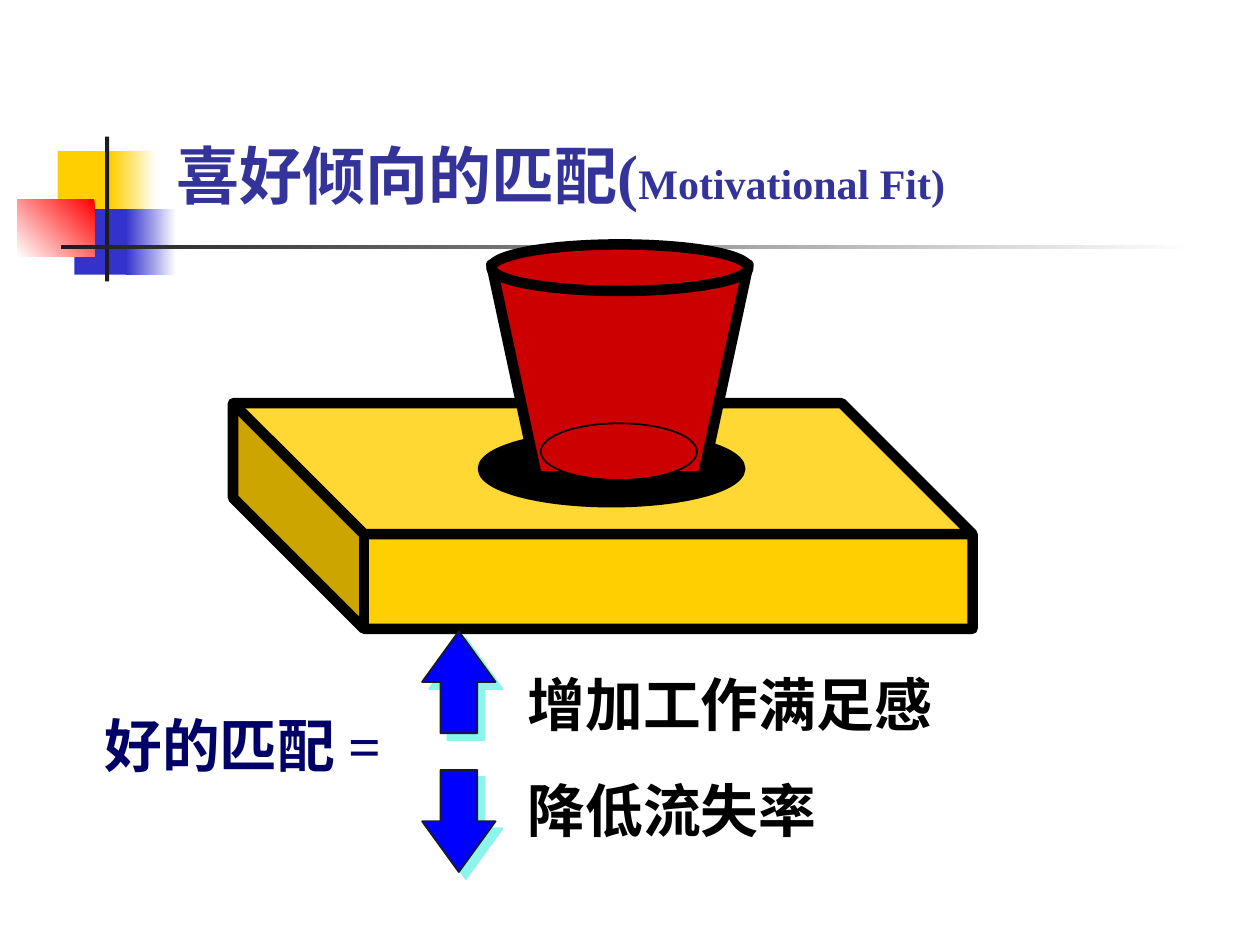
from lxml import etree
from pptx import Presentation
from pptx import util as u
from pptx.dml.color import RGBColor
from pptx.enum import shapes, text
from pptx.oxml.ns import qn

Pt = u.Pt
SHAPE = shapes.MSO_SHAPE

WHITE = RGBColor(0xFF, 0xFF, 0xFF)
BLACK = RGBColor(0x00, 0x00, 0x00)
INK = RGBColor(0x1C, 0x1C, 0x1C)
YELLOW = RGBColor(0xFF, 0xCF, 0x01)
INDIGO = RGBColor(0x33, 0x33, 0xCC)
RED = RGBColor(0xFF, 0x00, 0x00)
CUP_RED = RGBColor(0xCC, 0x00, 0x00)
BLUE = RGBColor(0x00, 0x00, 0xFF)
AQUA = RGBColor(0x8C, 0xF4, 0xEA)
TITLE_BLUE = RGBColor(0x33, 0x33, 0x99)
NAVY = RGBColor(0x00, 0x00, 0x66)


def add_run(p, content, *, size, color, font, bold=True):
    r = p.add_run()
    r.text = content
    r.font.size = Pt(size)
    r.font.name = font
    r.font.bold = bold
    r.font.color.rgb = color
    return r


class SlideBuilder:
    """Holds the style and the current slide; all lengths are in points."""

    font = "Times New Roman"
    body_size = 33
    heavy = 6

    def __init__(self, slide):
        self.slide = slide

    def paint(self, sp, fill, line=None, width=1):
        sp.shadow.inherit = False
        sp.fill.solid()
        sp.fill.fore_color.rgb = fill
        if line is None:
            sp.line.fill.background()
        else:
            sp.line.color.rgb = line
            sp.line.width = Pt(width)

    def shape(self, kind, box, fill, line=None, width=1, adj=()):
        sp = self.slide.shapes.add_shape(kind, *map(Pt, box))
        self.paint(sp, fill, line, width)
        for i, value in enumerate(adj):
            sp.adjustments[i] = value
        return sp

    def gradient(self, box, start, end, angle=180):
        """Add a rectangle shaded from start to end, angle counter-clockwise."""
        sp = self.shape(SHAPE.RECTANGLE, box, start)
        sp.fill.gradient()
        sp.fill.gradient_angle = angle
        for stop, color, position in zip(sp.fill.gradient_stops, (start, end), (0, 1)):
            stop.color.rgb = color
            stop.position = position
        return sp

    def polygon(self, points, fill, line, width):
        pts = [(Pt(x), Pt(y)) for x, y in points]
        fb = self.slide.shapes.build_freeform(*pts[0], scale=1.0)
        fb.add_line_segments(pts[1:], close=True)
        sp = fb.convert_to_shape()
        self.paint(sp, fill, line, width)
        return sp

    def arrow(self, kind, box):
        """Add a block arrow with a hard offset shadow."""
        sp = self.shape(kind, box, BLUE, INK, 1, adj=(0.5, 0.69))
        effects = sp._element.spPr.find(qn("a:effectLst"))
        shadow = etree.SubElement(effects, qn("a:outerShdw"), blurRad="0",
                                  dist=str(Pt(5.7)), dir=str(45 * 60000),
                                  algn="ctr", rotWithShape="0")
        etree.SubElement(shadow, qn("a:srgbClr"), val=str(AQUA))
        return sp

    def title(self, box, parts, color):
        sp = self.slide.shapes.title
        sp.left, sp.top, sp.width, sp.height = map(Pt, box)
        tf = sp.text_frame
        tf.vertical_anchor = text.MSO_ANCHOR.MIDDLE
        p = tf.paragraphs[0]
        p.alignment = text.PP_ALIGN.LEFT
        for content, size in parts:
            add_run(p, content, size=size, color=color, font=self.font)

    def textbox(self, box, lines, color, gap=0):
        tf = self.slide.shapes.add_textbox(*map(Pt, box)).text_frame
        tf.word_wrap = True
        for i, line in enumerate(lines):
            p = tf.add_paragraph() if i else tf.paragraphs[0]
            if i:
                p.space_before = Pt(gap)
            add_run(p, line, size=self.body_size, color=color, font=self.font)


def add_decoration(b):
    b.shape(SHAPE.RECTANGLE, (33, 86.4, 34.6, 37.4), YELLOW)
    b.gradient((63.4, 86.4, 26, 37.4), WHITE, YELLOW)
    b.shape(SHAPE.RECTANGLE, (42.5, 119.5, 33, 37.4), INDIGO)
    b.gradient((72, 119.5, 28.8, 37.4), WHITE, INDIGO)
    b.gradient((10, 113.8, 44, 33), RED, WHITE, angle=225)
    b.shape(SHAPE.RECTANGLE, (60, 78, 2.4, 82.8), INK)
    b.gradient((34.8, 140, 648, 2.5), WHITE, INK)


def add_cup_in_block(b):
    block = b.shape(SHAPE.CUBE, (133.2, 230.4, 422.6, 128.9), YELLOW,
                    BLACK, b.heavy, adj=(0.58,))
    block._element.spPr.find(qn("a:xfrm")).set("flipH", "1")
    b.shape(SHAPE.OVAL, (275, 247.7, 149, 40.3), BLACK, BLACK, 4)

    left, right, top, bottom, taper = 280.8, 427.7, 151.2, 272.2, 26
    b.polygon([(left, top), (right, top), (right - taper, bottom),
               (left + taper, bottom)], CUP_RED, BLACK, b.heavy)
    b.shape(SHAPE.OVAL, (left, 139.7, right - left, 26.6), CUP_RED, BLACK, b.heavy)
    b.shape(SHAPE.OVAL, (309, 241.9, 89.3, 32.4), CUP_RED, BLACK, 1)


def main():
    prs = Presentation()
    prs.slide_width, prs.slide_height = Pt(720), Pt(540)
    s = prs.slides.add_slide(prs.slide_layouts[5])
    b = SlideBuilder(s)

    add_decoration(b)
    b.title((93.6, 65.5, 496, 67.7),
            [("喜好倾向的匹配(", 36), ("Motivational Fit)", 24)], TITLE_BLUE)
    b.textbox((52.6, 401.8, 204.5, 46.8), ["好的匹配 ="], NAVY)
    b.textbox((294.5, 378.7, 404.6, 106.6), ["增加工作满足感", "降低流失率"],
              BLACK, gap=20.6)
    add_cup_in_block(b)
    for kind, top in ((SHAPE.UP_ARROW, 360.7), (SHAPE.DOWN_ARROW, 440)):
        b.arrow(kind, (241.2, top, 42, 58.3))

    prs.save("out.pptx")


if __name__ == "__main__":
    main()
